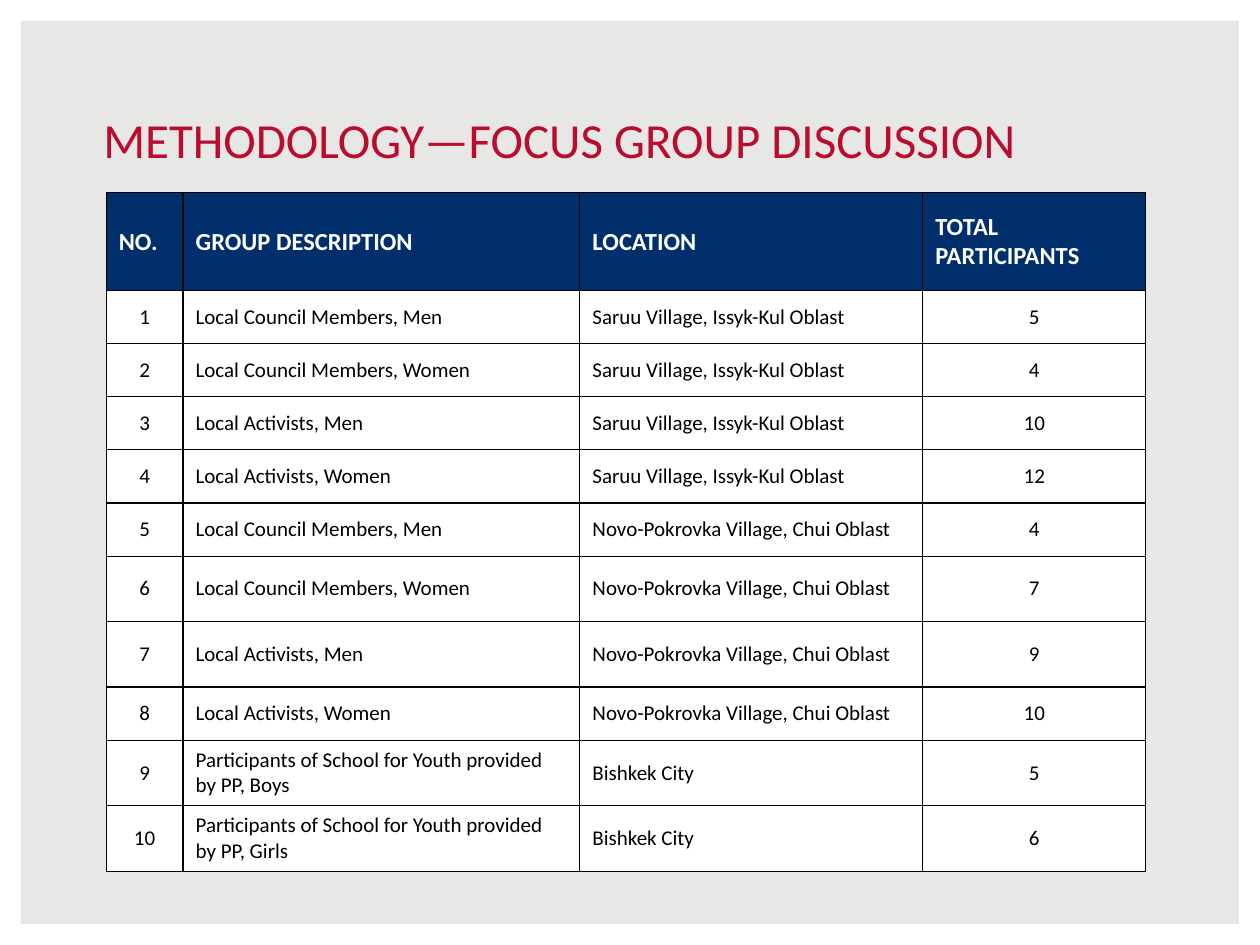
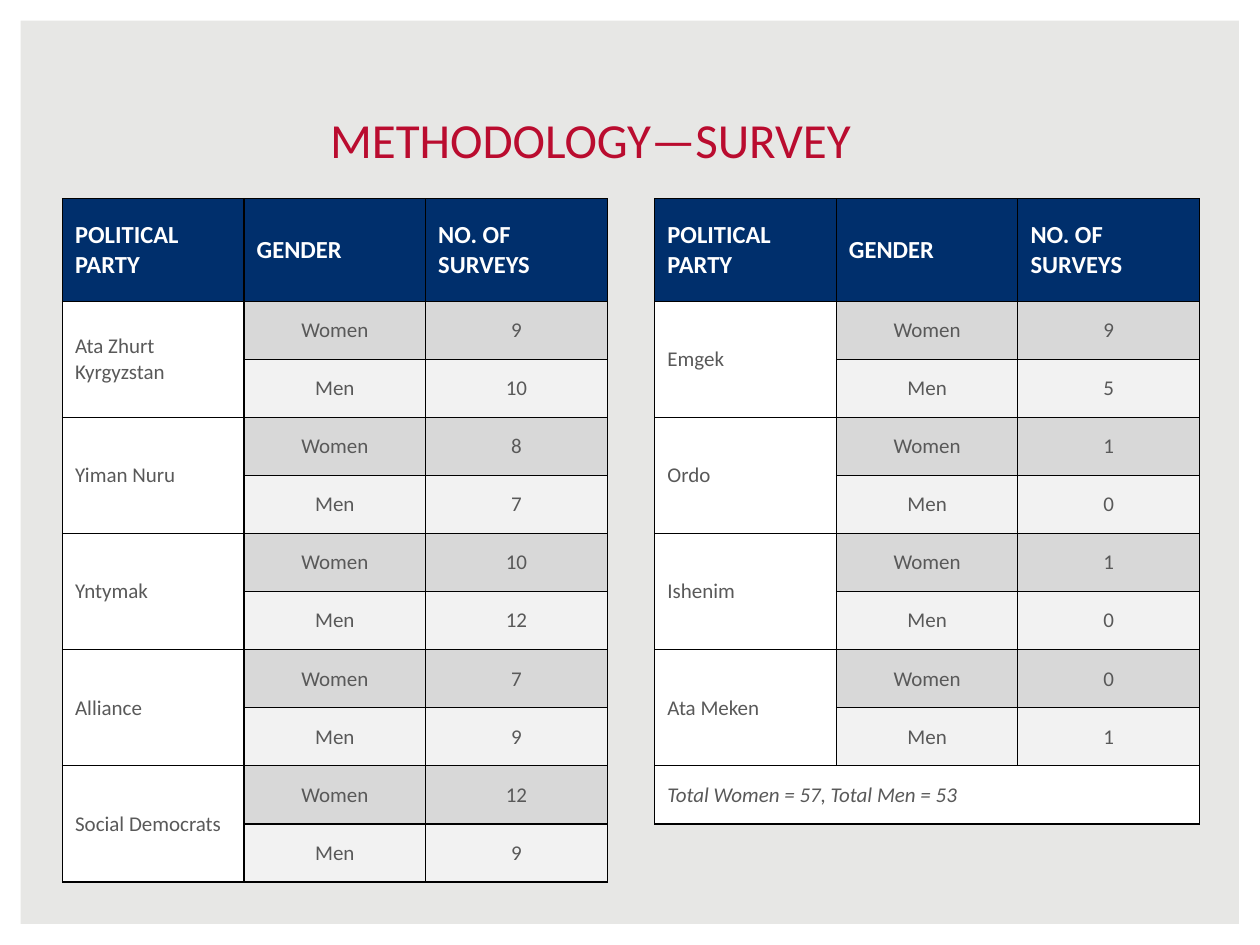
"""Build two methodology slides: focus group discussions and party surveys."""
from dataclasses import dataclass

from lxml import etree
from pptx import Presentation
from pptx.dml.color import RGBColor
from pptx.enum import shapes, text
from pptx.oxml import ns
from pptx.util import Cm, Pt


@dataclass(frozen=True)
class Theme:
    font: str = "Calibri"
    background: str = "E7E7E5"
    white: str = "FFFFFF"
    black: str = "000000"
    title: str = "BA0C2F"
    header: str = "002F6C"
    gray_text: str = "595959"
    women_row: str = "D8D8D8"
    men_row: str = "F2F2F2"
    title_size: int = 28
    header_size: int = 14
    body_size: int = 12
    border: float = 0.75


theme = Theme()


def format_runs(text_frame, size, color, bold=False, italic=False):
    for paragraph in text_frame.paragraphs:
        for run in paragraph.runs:
            run.font.name = theme.font
            run.font.size = Pt(size)
            run.font.bold = bold
            run.font.italic = italic
            run.font.color.rgb = RGBColor.from_string(color)


def add_grid(slide, left, top, widths, heights, rows, centered, color, banded=False):
    table = slide.shapes.add_table(
        len(rows), len(widths), Cm(left), Cm(top), Cm(sum(widths)), Cm(sum(heights))
    ).table
    table.horz_banding = False
    for column, width in zip(table.columns, widths):
        column.width = Cm(width)
    for row_index, (values, height) in enumerate(zip(rows, heights)):
        table.rows[row_index].height = Cm(height)
        is_total = values[0].startswith("Total")
        for column_index, value in enumerate(values):
            cell = table.cell(row_index, column_index)
            cell.text = value
            cell.vertical_anchor = text.MSO_ANCHOR.MIDDLE
            properties = cell._tc.get_or_add_tcPr()
            for side in ("lnL", "lnR", "lnT", "lnB"):
                line = etree.SubElement(properties, ns.qn(f"a:{side}"), w=str(Pt(theme.border)))
                line_fill = etree.SubElement(line, ns.qn("a:solidFill"))
                etree.SubElement(line_fill, ns.qn("a:srgbClr"), val=theme.black)
            fill = theme.white
            if row_index == 0:
                fill = theme.header
                format_runs(cell.text_frame, theme.header_size, theme.white, bold=True)
            else:
                format_runs(cell.text_frame, theme.body_size, color, italic=is_total)
                if column_index in centered:
                    cell.text_frame.paragraphs[0].alignment = text.PP_ALIGN.CENTER
                    if banded and not is_total:
                        fill = theme.women_row if row_index % 2 else theme.men_row
            cell.fill.solid()
            cell.fill.fore_color.rgb = RGBColor.from_string(fill)
    return table


presentation = Presentation()
presentation.slide_width = Cm(25.4)
presentation.slide_height = Cm(19.05)
master = presentation.slide_master
master.background.fill.solid()
master.background.fill.fore_color.rgb = RGBColor.from_string(theme.background)

titles = [
    ("METHODOLOGY—FOCUS GROUP DISCUSSION", 1.83, 21.72),
    ("METHODOLOGY—SURVEY", 6.4, 12.6),
]
slides = []
for title_text, left, width in titles:
    slide = presentation.slides.add_slide(presentation.slide_layouts[5])
    title = slide.shapes.title
    title.left, title.top, title.width, title.height = Cm(left), Cm(2.08), Cm(width), Cm(1.45)
    title.text_frame.text = title_text
    title.text_frame.vertical_anchor = text.MSO_ANCHOR.BOTTOM
    title.text_frame.auto_size = text.MSO_AUTO_SIZE.SHAPE_TO_FIT_TEXT
    title.text_frame.paragraphs[0].alignment = text.PP_ALIGN.LEFT
    format_runs(title.text_frame, theme.title_size, theme.title)
    slides.append(slide)
focus_slide, survey_slide = slides

frame = focus_slide.shapes.add_shape(
    shapes.MSO_SHAPE.FRAME, 0, 0, presentation.slide_width, presentation.slide_height
)
frame.adjustments[0] = 0.022
frame.shadow.inherit = False
frame.fill.solid()
frame.fill.fore_color.rgb = RGBColor.from_string(theme.white)
frame.line.fill.background()
master.shapes.element.insert(2, frame.element)

saruu = "Saruu Village, Issyk-Kul Oblast"
pokrovka = "Novo-Pokrovka Village, Chui Oblast"
bishkek = "Bishkek City"
village_groups = [
    "Local Council Members, Men",
    "Local Council Members, Women",
    "Local Activists, Men",
    "Local Activists, Women",
]
youth_groups = [f"Participants of School for Youth provided by PP, {who}" for who in ("Boys", "Girls")]
groups = village_groups * 2 + youth_groups
locations = [saruu] * 4 + [pokrovka] * 4 + [bishkek] * 2
participants = [5, 4, 10, 12, 4, 7, 9, 10, 5, 6]
focus_rows = [("NO.", "GROUP DESCRIPTION", "LOCATION", "TOTAL PARTICIPANTS")]
for number, (group, location, count) in enumerate(zip(groups, locations, participants), 1):
    focus_rows.append((str(number), group, location, str(count)))
focus_heights = [1.98] + [1.07] * 5 + [1.32] * 2 + [1.07] + [1.32] * 2
add_grid(focus_slide, 2.14, 3.88, [1.55, 8, 6.91, 4.5], focus_heights, focus_rows, (0, 3), theme.black)

left_parties = [
    ("Ata Zhurt Kyrgyzstan", 9, 10),
    ("Yiman Nuru", 8, 7),
    ("Yntymak", 10, 12),
    ("Alliance", 7, 9),
    ("Social Democrats", 12, 9),
]
right_parties = [("Emgek", 9, 5), ("Ordo", 1, 0), ("Ishenim", 1, 0), ("Ata Meken", 0, 1)]
total = "Total Women = 57, Total Men = 53"
for left, parties, total_text in ((1.26, left_parties, None), (13.2, right_parties, total)):
    survey_rows = [("POLITICAL PARTY", "GENDER", "NO. OF SURVEYS")]
    for party, women, men in parties:
        survey_rows += [(party, "Women", str(women)), ("", "Men", str(men))]
    if total_text:
        survey_rows.append((total_text, "", ""))
    survey_heights = [2.07] + [1.17] * (len(survey_rows) - 1)
    table = add_grid(
        survey_slide, left, 4.01, [3.66] * 3, survey_heights, survey_rows, (1, 2), theme.gray_text, banded=True
    )
    for party_index in range(len(parties)):
        first_row = 1 + 2 * party_index
        table.cell(first_row, 0).merge(table.cell(first_row + 1, 0))
    if total_text:
        last_row = len(survey_rows) - 1
        table.cell(last_row, 0).merge(table.cell(last_row, 2))

presentation.save("out.pptx")
